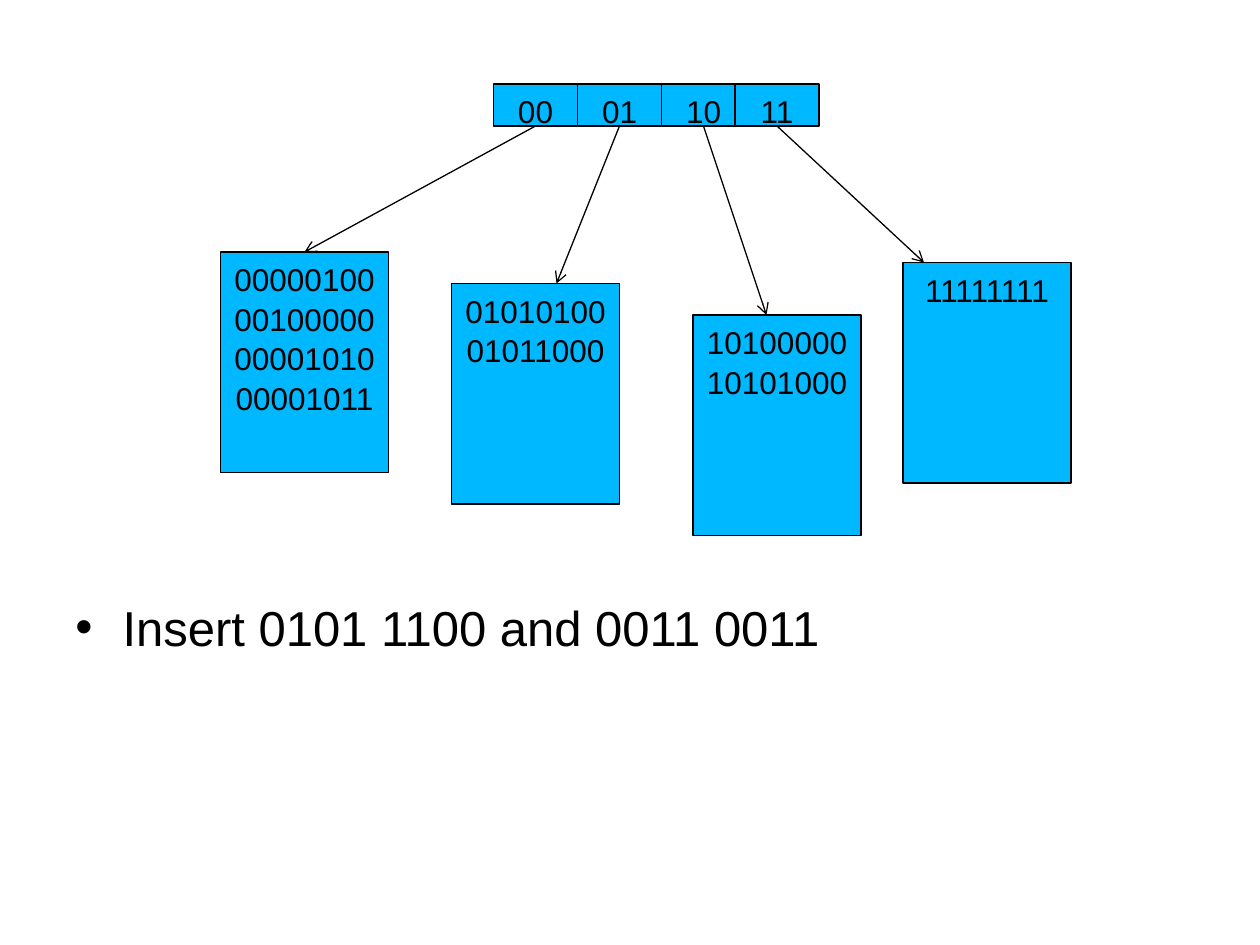
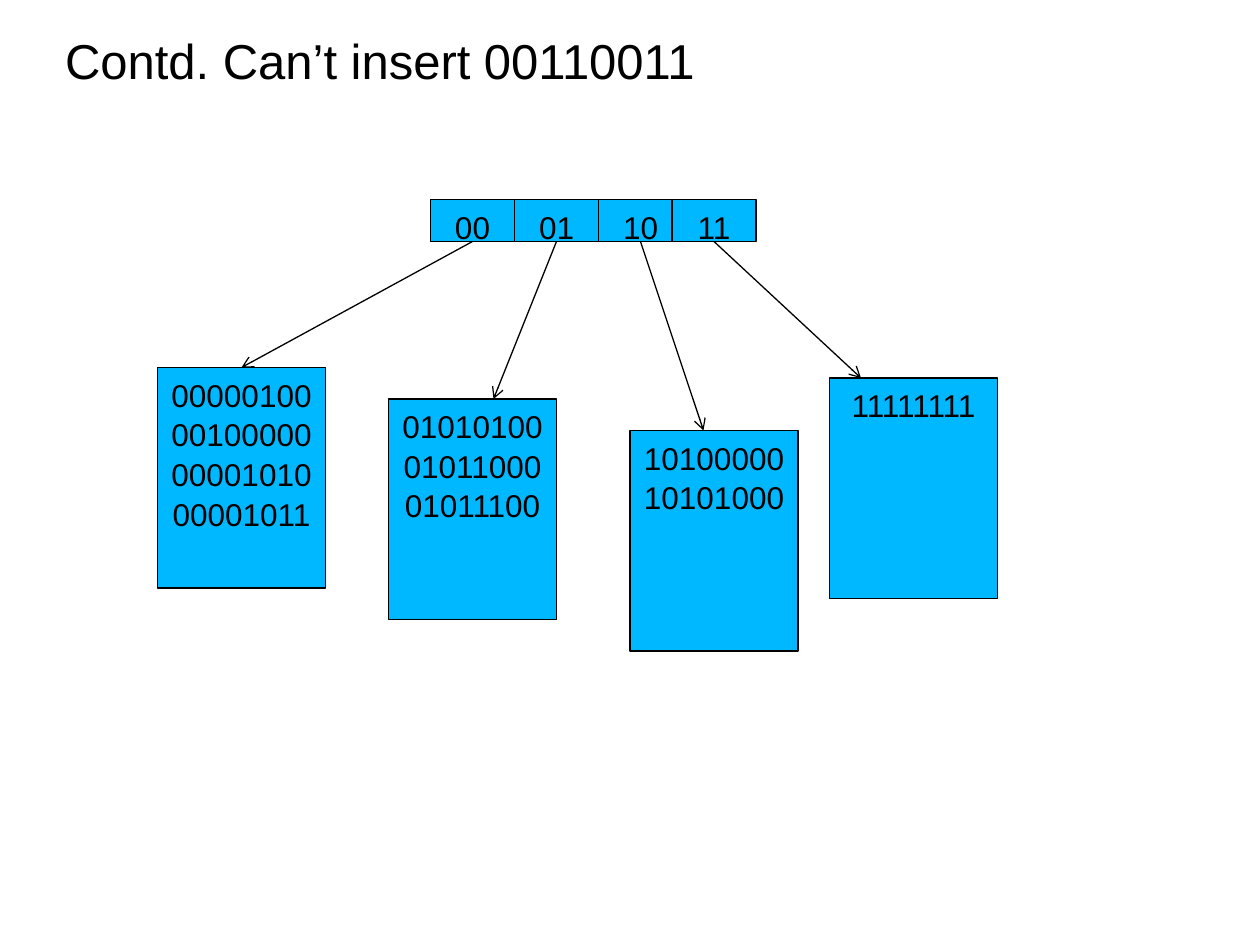
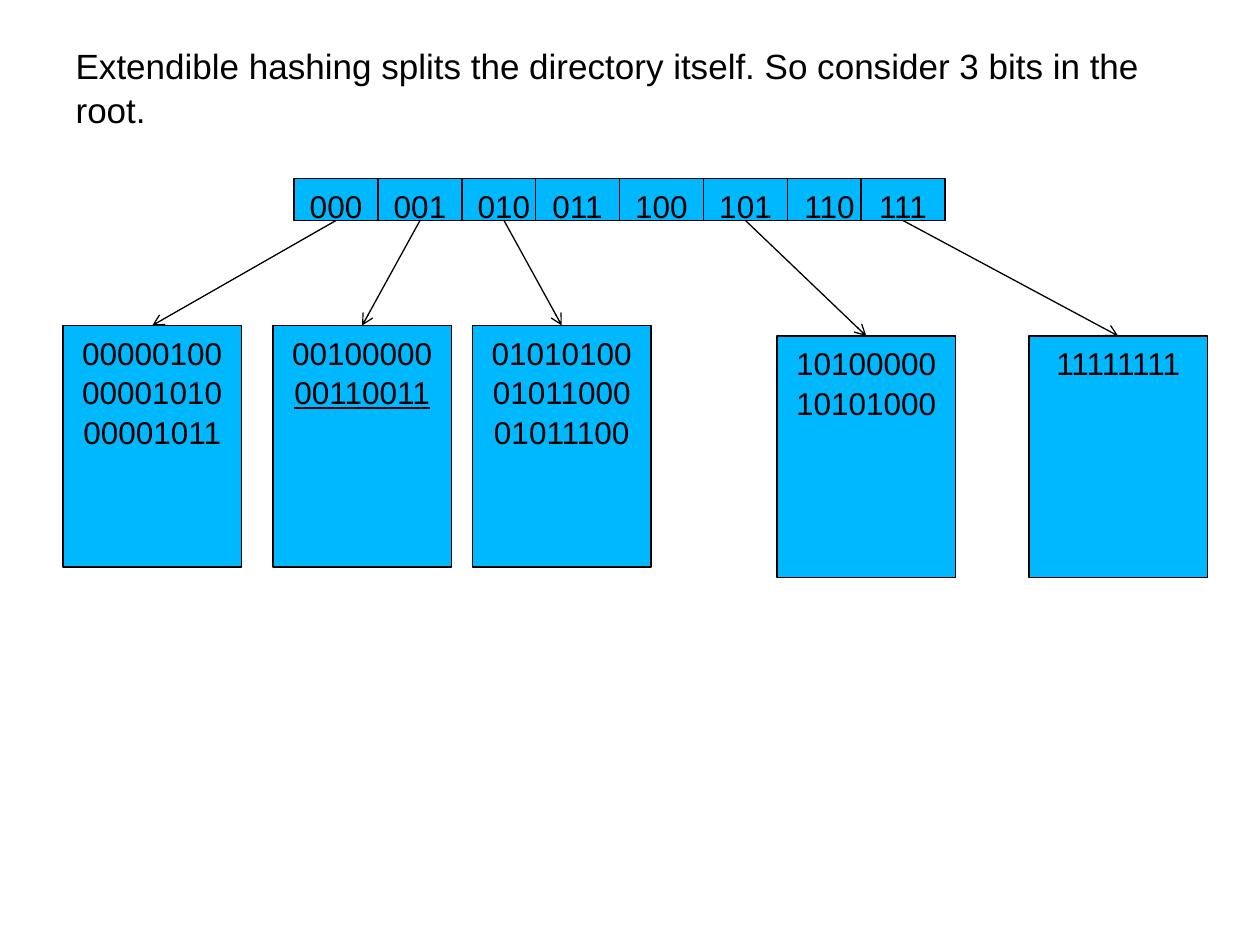
from lxml.etree import SubElement
from pptx import Presentation
from pptx.dml.color import RGBColor
from pptx.enum.shapes import MSO_CONNECTOR, MSO_SHAPE
from pptx.enum.text import MSO_ANCHOR, MSO_AUTO_SIZE, PP_ALIGN
from pptx.oxml.ns import qn
from pptx.util import Pt

# Shared style
BLACK = "000000"
BLUE = "00B8FF"
FONT = "Arial"
KEY_FORMAT = {"name": FONT, "size": Pt(18), "bold": False}
HEADING_FORMAT = {**KEY_FORMAT, "size": Pt(28)}
QUIET_HEADING_FORMAT = {**KEY_FORMAT, "size": Pt(20)}
TITLE_ONLY, BLANK = 5, 6

# Directory cells; every "10" cell is covered in part by the next one
CELL_WIDTH, CELL_HEIGHT = 48, 24
CELL_OFFSETS = [0, 48, 96, 138]
WIDE_CELL_OFFSETS = CELL_OFFSETS + [offset + 186 for offset in CELL_OFFSETS]
WIDE_CELL_OFFSETS[4:] = [186, 234, 282, 324]

BUCKET_SIZE = (96, 126)
WIDE_BUCKET_SIZE = (102, 138)
INSERTED_KEY = "00110011"


def color(hex_string):
    return RGBColor.from_string(hex_string)


def set_format(target, values):
    for name, value in values.items():
        setattr(target, name, value)


def write_lines(shape, lines, font_format, alignment, anchor=MSO_ANCHOR.TOP):
    frame = shape.text_frame
    set_format(frame, {"word_wrap": True, "auto_size": MSO_AUTO_SIZE.NONE,
                       "vertical_anchor": anchor})
    frame.text = "\n".join(lines)
    for paragraph in frame.paragraphs:
        set_format(paragraph, {"alignment": alignment, "line_spacing": 1.05})
        for run in paragraph.runs:
            set_format(run.font, font_format)
            run.font.color.rgb = color(BLACK)
    return frame


def add_box(slide, left, top, width, height, lines):
    shape = slide.shapes.add_shape(
        MSO_SHAPE.RECTANGLE, Pt(left), Pt(top), Pt(width), Pt(height))
    shape.shadow.inherit = False
    shape.fill.solid()
    shape.fill.fore_color.rgb = color(BLUE)
    shape.line.color.rgb = color(BLACK)
    shape.line.width = Pt(0.75)
    return write_lines(shape, lines, KEY_FORMAT, PP_ALIGN.CENTER)


def add_arrow(slide, start, end):
    connector = slide.shapes.add_connector(
        MSO_CONNECTOR.STRAIGHT, *(Pt(value) for value in (*start, *end)))
    connector.line.color.rgb = color(BLACK)
    connector.line.width = Pt(0.75)
    SubElement(connector.line._get_or_add_ln(), qn("a:tailEnd"), type="arrow")
    SubElement(connector._element.spPr, qn("a:effectLst"))


def add_directory(slide, left, top, bits, offsets):
    """Draw the row of cells and return where the arrow of each one starts."""
    starts = {}
    for number, offset in enumerate(offsets):
        label = format(number, f"0{bits}b")
        add_box(slide, left + offset, top, CELL_WIDTH, CELL_HEIGHT, [label])
        starts[label] = (left + offset + CELL_WIDTH / 2, top + CELL_HEIGHT)
    return starts


def add_buckets(slide, starts, size, buckets):
    """Each bucket is (cell, left, top, arrow end, keys)."""
    for cell, left, top, arrow_x, keys in buckets:
        frame = add_box(slide, left, top, *size, keys)
        for paragraph in frame.paragraphs:
            if paragraph.text == INSERTED_KEY:
                paragraph.font.underline = True
                paragraph.runs[0].font.underline = True
        add_arrow(slide, starts[cell], (arrow_x, top))


def add_slide(presentation, layout):
    return presentation.slides.add_slide(presentation.slide_layouts[layout])


def place_title(slide, text, box, font_format, anchor):
    title = slide.shapes.title
    set_format(title, dict(zip(("left", "top", "width", "height"), map(Pt, box))))
    write_lines(title, [text], font_format, PP_ALIGN.LEFT, anchor)


def add_bullet(slide, text, box):
    text_box = slide.shapes.add_textbox(*map(Pt, box))
    frame = write_lines(text_box, [text], HEADING_FORMAT, PP_ALIGN.LEFT)
    paragraph = frame.paragraphs[0]
    paragraph.space_before = Pt(8)
    properties = paragraph._p.get_or_add_pPr()
    properties.set("marL", str(Pt(27)))
    properties.set("indent", str(-Pt(27)))
    SubElement(properties, qn("a:buFont"), typeface=FONT)
    SubElement(properties, qn("a:buChar"), char="•")


def add_two_bit_tree(slide, left, top, last_bucket, second_keys):
    """Draw the four-way tree; left and top place its directory."""
    starts = add_directory(slide, left, top, 2, CELL_OFFSETS)
    first_keys = ["00000100", "0010000000001010", "00001011"]
    add_buckets(slide, starts, BUCKET_SIZE, [
        ("00", left - 156, top + 96, left - 108, first_keys),
        ("01", left - 24, top + 114, left + 36, second_keys),
        ("10", left + 114, top + 132, left + 156, ["10100000", "10101000"]),
        ("11", last_bucket, top + 102, left + 246, ["11111111"]),
    ])


def build_insert_slide(presentation):
    slide = add_slide(presentation, BLANK)
    add_bullet(slide, "Insert 0101 1100 and 0011 0011", (36, 336, 648, 146))
    add_two_bit_tree(slide, 282, 48, 516, ["01010100", "01011000"])


def build_overflow_slide(presentation):
    slide = add_slide(presentation, TITLE_ONLY)
    place_title(slide, "Contd. Can’t insert 00110011", (30, 12, 648, 54),
                HEADING_FORMAT, MSO_ANCHOR.TOP)
    add_two_bit_tree(slide, 246, 114, 474, ["01010100", "01011000", "01011100"])


def build_split_slide(presentation):
    slide = add_slide(presentation, TITLE_ONLY)
    place_title(slide, "Extendible hashing splits the directory itself. "
                "So consider 3 bits in the root.", (36, 21.6, 648, 56),
                QUIET_HEADING_FORMAT, MSO_ANCHOR.MIDDLE)
    starts = add_directory(slide, 168, 102, 3, WIDE_CELL_OFFSETS)
    buckets = [
        ("000", 36, 186, ["00000100", "00001010", "00001011"]),
        ("001", 156, 186, ["00100000", INSERTED_KEY]),
        ("010", 270, 186, ["01010100", "01011000", "01011100"]),
        ("101", 444, 192, ["10100000", "10101000"]),
        ("111", 588, 192, ["11111111"]),
    ]
    half = WIDE_BUCKET_SIZE[0] / 2
    add_buckets(slide, starts, WIDE_BUCKET_SIZE, [
        (cell, left, top, left + half, keys) for cell, left, top, keys in buckets])


def main():
    presentation = Presentation()
    presentation.slide_width, presentation.slide_height = Pt(720), Pt(540)
    build_insert_slide(presentation)
    build_overflow_slide(presentation)
    build_split_slide(presentation)
    presentation.save("out.pptx")


if __name__ == "__main__":
    main()
